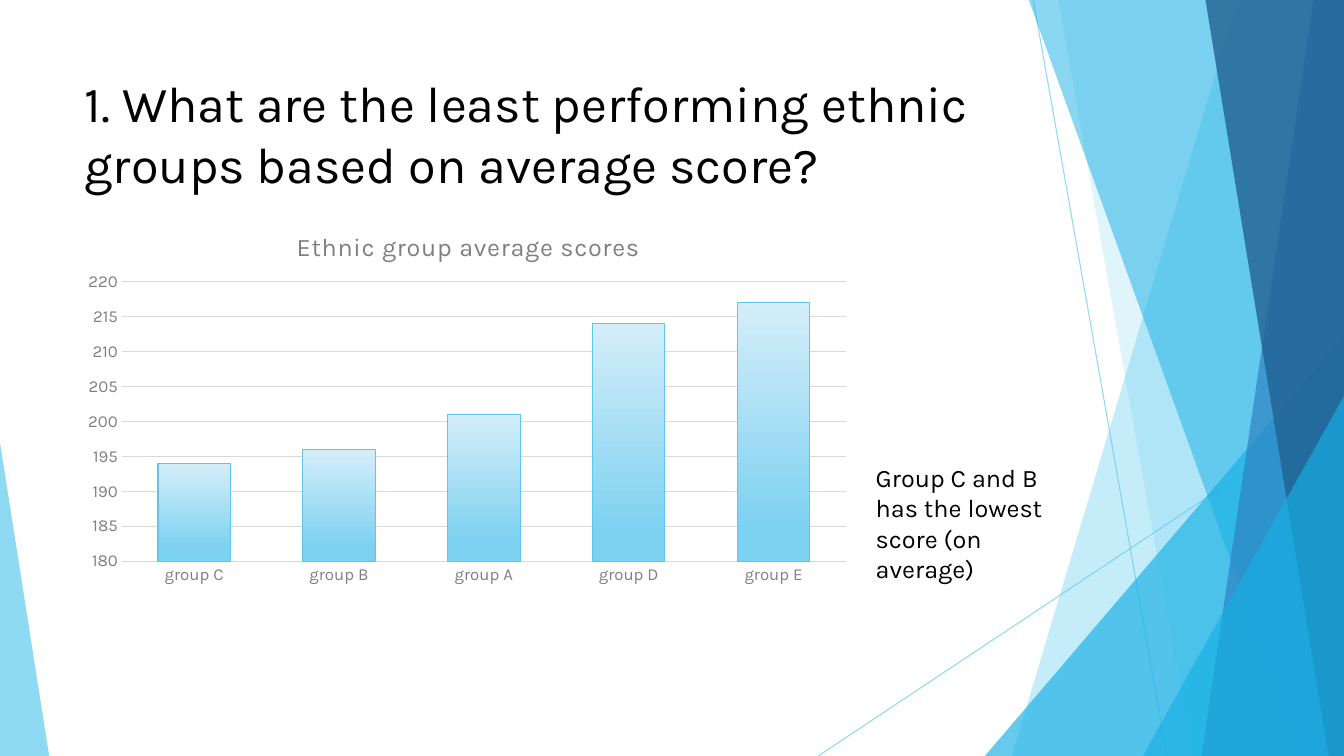
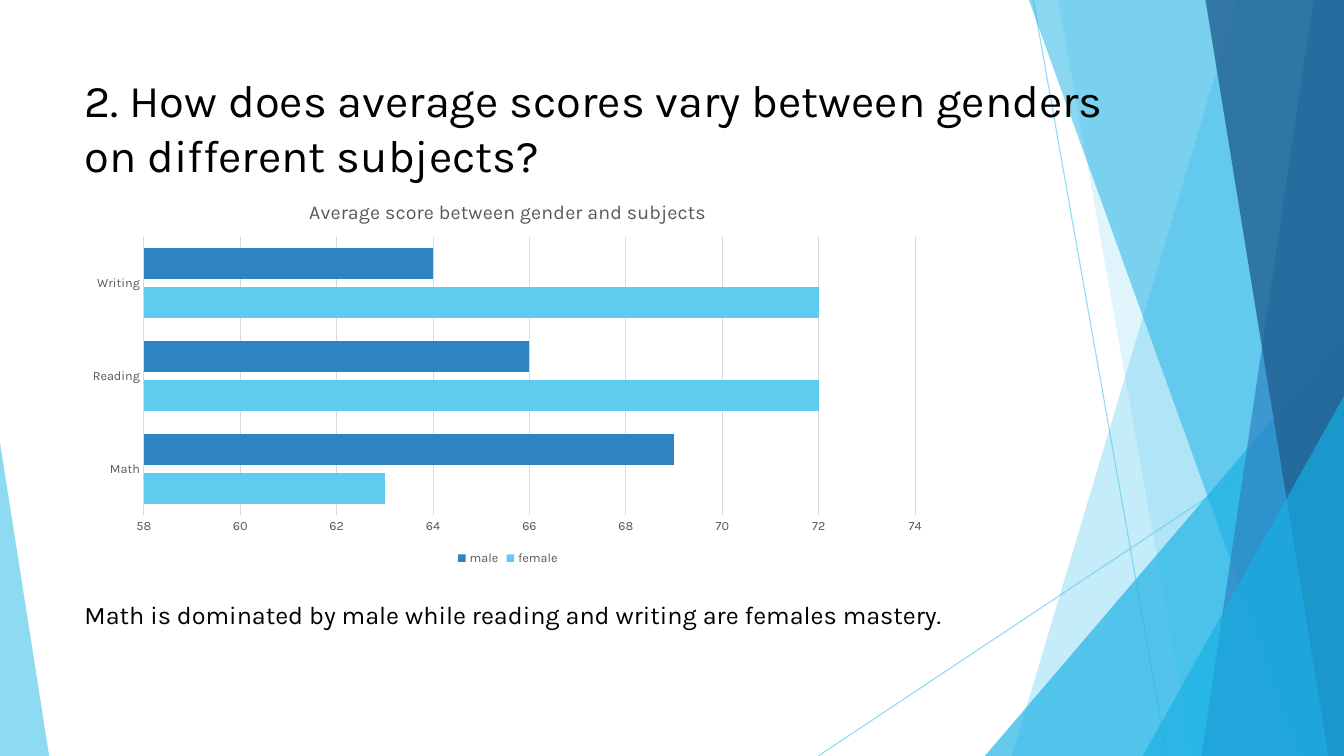
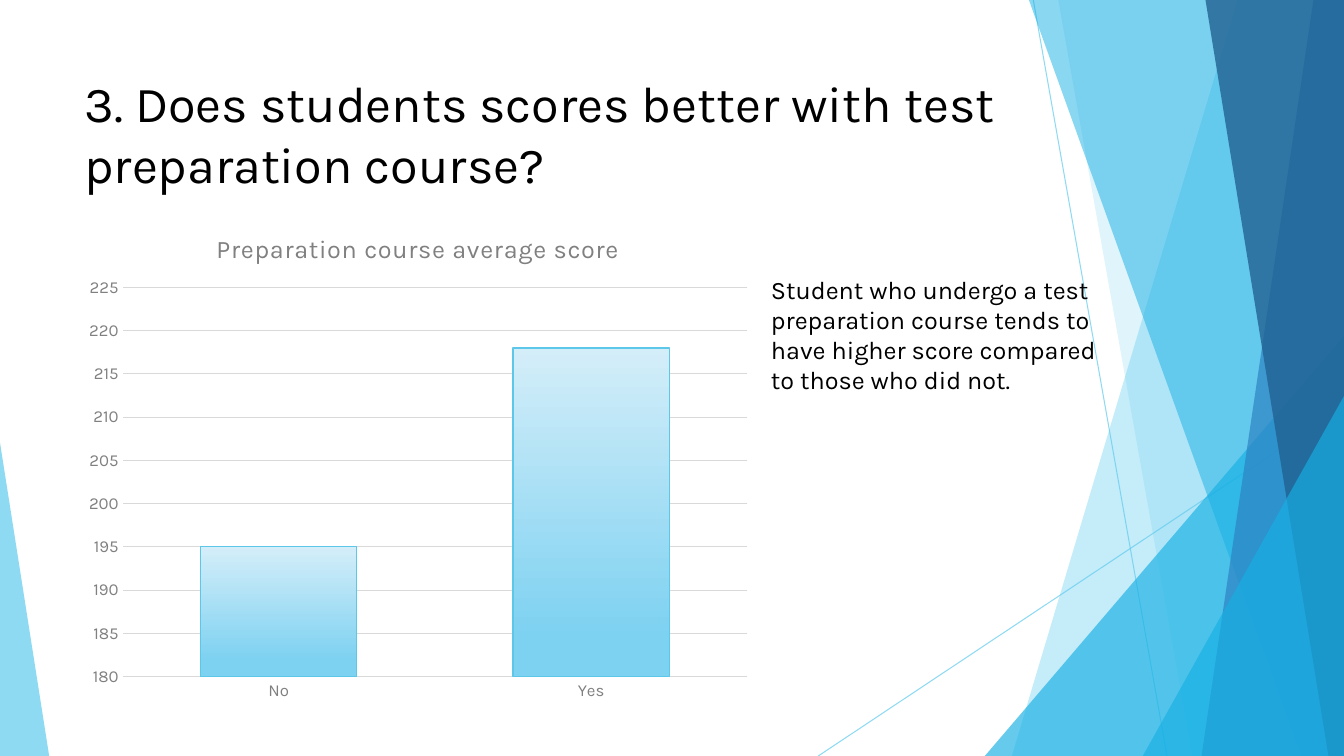
from dataclasses import dataclass

from pptx import Presentation
from pptx.chart.chart import Chart
from pptx.chart.data import CategoryChartData
from pptx.dml.color import RGBColor
from pptx.enum.chart import XL_CHART_TYPE, XL_LEGEND_POSITION, XL_TICK_MARK
from pptx.enum.shapes import MSO_CONNECTOR, MSO_SHAPE
from pptx.oxml import parse_xml
from pptx.oxml.ns import nsdecls, qn
from pptx.slide import Slide, SlideLayout
from pptx.util import Cm, Pt

COLUMN = XL_CHART_TYPE.COLUMN_CLUSTERED
BAR = XL_CHART_TYPE.BAR_CLUSTERED
BOTTOM = XL_LEGEND_POSITION.BOTTOM
NO_TICK = XL_TICK_MARK.NONE
STRAIGHT = MSO_CONNECTOR.STRAIGHT
TRIANGLE = MSO_SHAPE.ISOSCELES_TRIANGLE

WIDE, HIGH = 33.87, 19.05
LEFT = 1.88
Box = tuple[float, float, float, float]


@dataclass(frozen=True)
class Theme:
    font: str = "Karla"
    ink: str = "000000"
    sky: str = "5FCBEF"
    cyan: str = "17B0E4"
    blue: str = "2E83C3"
    navy: str = "226292"
    pale: str = "D4EEF9"
    soft: str = "7DD1F1"
    edge: str = "5DC7EA"
    grid: str = "D9D9D9"
    gray: str = "808080"
    dark: str = "595959"
    head: float = 36
    tight: float = 32.4
    body: float = 18
    thin: float = 0.75


THEME = Theme()


@dataclass(frozen=True)
class Band:
    """Area from a slanted left edge to the right side of the slide."""
    top: float
    foot: float
    color: str
    alpha: int


@dataclass(frozen=True)
class Wedge:
    """Right triangle standing on the bottom of the slide."""
    left: float
    top: float
    width: float
    peak: float
    color: str
    alpha: int


@dataclass(frozen=True)
class Ray:
    start: tuple[float, float]
    end: tuple[float, float]


@dataclass(frozen=True)
class Plot:
    kind: XL_CHART_TYPE
    box: Box
    frame: Box  # plot area as shares of the chart
    title: str
    names: list[str]
    data: dict[str, list[int]]
    scale: tuple[int, int, int]
    gap: int = 100
    lap: int = -24
    fills: tuple[str, ...] = ()  # no fills means a gradient
    color: str = THEME.gray
    size: float = 12
    head: float = 18
    space: int = 50
    legend: bool = False


@dataclass(frozen=True)
class Page:
    title: str
    area: Box
    plot: Plot
    note: str
    place: Box
    size: float = THEME.head


DECOR = [
    Ray((26.04, 0), (29.41, HIGH)),
    Ray((WIDE, 10.24), (20.62, HIGH)),
    Band(31.19, 25.5, THEME.sky, 36),
    Band(26.67, 30.05, THEME.sky, 20),
    Wedge(24.82, 8.46, 9.05, 1, THEME.cyan, 66),
    Band(25.93, 32.79, THEME.cyan, 50),
    Band(33.1, 30.28, THEME.blue, 70),
    Band(30.38, 33.48, THEME.navy, 80),
    Wedge(28.8, 9.98, 5.07, 1, THEME.cyan, 66),
    Wedge(0, 11.15, 1.24, 0, THEME.sky, 70),
]

PAGES = [
    Page(
        "1. What are the least performing ethnic groups based on average score?",
        (LEFT, 1.7, 23.88, 3.66),
        Plot(COLUMN, (LEFT, 5.36, 19.84, 9.65), (0.06, 0.18, 0.92, 0.73),
             "Ethnic group average scores",
             ["group C", "group B", "group A", "group D", "group E"],
             {"Series 1": [194, 196, 201, 214, 217]}, (180, 220, 5)),
        "Group C and B has the lowest score (on average)",
        (21.82, 11.53, 5.79, 2.57),
    ),
    Page(
        "2. How does average scores vary between genders on different subjects?",
        (LEFT, 1.7, 26.29, 2.9),
        Plot(BAR, (LEFT, 4.6, 21.84, 9.75), (0.08, 0.14, 0.89, 0.72),
             "Average score between gender and subjects",
             ["Math", "Reading", "Writing"],
             {"female": [63, 72, 72], "male": [69, 66, 64]}, (58, 74, 2),
             gap=75, lap=-25, fills=(THEME.sky, THEME.blue),
             color=THEME.dark, size=9, head=14, space=0, legend=True),
        "Math is dominated by male while reading and writing are females mastery.",
        (LEFT, 14.99, 22.96, 1.02),
        size=THEME.tight,
    ),
    Page(
        "3. Does students scores better with test preparation course?",
        (LEFT, 1.7, 23.88, 3.66),
        Plot(COLUMN, (LEFT, 5.36, 17.3, 12.57), (0.07, 0.15, 0.91, 0.78),
             "Preparation course average score", ["No", "Yes"],
             {"Series 1": [195, 218]}, (180, 225, 5)),
        "Student who undergo a test preparation course tends to have higher "
        "score compared to those who did not.",
        (19.18, 6.78, 9.3, 3.33),
    ),
]


def rgb(code: str) -> RGBColor:
    return RGBColor.from_string(code)


def style(font, size: float, color: str) -> None:
    font.name = THEME.font
    font.size = Pt(size)
    font.bold = False
    font.color.rgb = rgb(color)


def stroke(line, color: str) -> None:
    line.color.rgb = rgb(color)
    line.width = Pt(THEME.thin)


def fade(shape, alpha: int) -> None:
    """Set the opacity, in percent, of the shape's own colour."""
    tone = shape.element.spPr.find(".//" + qn("a:srgbClr"))
    tone.append(parse_xml(f'<a:alpha {nsdecls("a")} val="{alpha * 1000}"/>'))


def paint(shape, color: str, alpha: int) -> None:
    shape.shadow.inherit = False
    shape.fill.solid()
    shape.fill.fore_color.rgb = rgb(color)
    shape.line.fill.background()
    fade(shape, alpha)


def add_ray(slide: Slide, ray: Ray):
    line = slide.shapes.add_connector(STRAIGHT, *map(Cm, ray.start + ray.end))
    stroke(line.line, THEME.sky)
    fade(line, 70)
    line.element.spPr.append(parse_xml(f'<a:effectLst {nsdecls("a")}/>'))
    return line


def add_band(slide: Slide, band: Band):
    pen = slide.shapes.build_freeform(Cm(band.top), 0)
    pen.add_line_segments([(Cm(WIDE), 0), (Cm(WIDE), Cm(HIGH)),
                           (Cm(band.foot), Cm(HIGH))])
    shape = pen.convert_to_shape()
    paint(shape, band.color, band.alpha)
    return shape


def add_wedge(slide: Slide, wedge: Wedge):
    shape = slide.shapes.add_shape(
        TRIANGLE, Cm(wedge.left), Cm(wedge.top),
        Cm(wedge.width), Cm(HIGH - wedge.top))
    shape.adjustments[0] = wedge.peak
    paint(shape, wedge.color, wedge.alpha)
    return shape


DRAW = {Ray: add_ray, Band: add_band, Wedge: add_wedge}


def dress(layout: SlideLayout, slide: Slide) -> None:
    """Draw the decor on a slide and move it to the shared layout."""
    tree = layout.shapes.element
    for holder in list(layout.placeholders):
        tree.remove(holder.element)
    for part in DECOR:
        tree.append(DRAW[type(part)](slide, part).element)


def add_text(slide: Slide, words: str, *, box: Box, size: float = THEME.body,
             color: str = THEME.ink) -> None:
    frame = slide.shapes.add_textbox(*map(Cm, box)).text_frame
    frame.word_wrap = True
    run = frame.paragraphs[0].add_run()
    run.text = words
    style(run.font, size, color)


def set_frame(chart: Chart, frame: Box) -> None:
    """Fix the inner plot area within the chart."""
    area = chart.element.find(".//" + qn("c:plotArea"))
    for old in area.findall(qn("c:layout")):
        area.remove(old)
    sides = "".join(f'<c:{key} val="{val}"/>' for key, val in zip("xywh", frame))
    area.insert(0, parse_xml(
        f'<c:layout {nsdecls("c")}><c:manualLayout>'
        '<c:layoutTarget val="inner"/><c:xMode val="edge"/><c:yMode val="edge"/>'
        f'{sides}</c:manualLayout></c:layout>'))


def set_title(chart: Chart, plot: Plot) -> None:
    chart.has_title = True
    title = chart.chart_title
    title.include_in_layout = False
    run = title.text_frame.paragraphs[0].add_run()
    run.text = plot.title
    style(run.font, plot.head, plot.color)
    chart.element.find(f".//{qn('c:title')}//{qn('a:rPr')}").set(
        "spc", str(plot.space))


def set_axes(chart: Chart, plot: Plot) -> None:
    for axis in (chart.category_axis, chart.value_axis):
        axis.major_tick_mark = axis.minor_tick_mark = NO_TICK
        style(axis.tick_labels.font, plot.size, plot.color)
    chart.category_axis.has_major_gridlines = False
    stroke(chart.category_axis.format.line, THEME.grid)
    value = chart.value_axis
    value.minimum_scale, value.maximum_scale, value.major_unit = plot.scale
    value.has_major_gridlines = True
    stroke(value.major_gridlines.format.line, THEME.grid)
    value.format.line.fill.background()
    value.tick_labels.number_format = "0"
    value.tick_labels.number_format_is_linked = False


def set_bars(chart: Chart, plot: Plot) -> None:
    bars = chart.plots[0]
    bars.gap_width, bars.overlap = plot.gap, plot.lap
    bars.vary_by_categories = False
    for i, row in enumerate(bars.series):
        row.invert_if_negative = False
        fill = row.format.fill
        if plot.fills:
            fill.solid()
            fill.fore_color.rgb = rgb(plot.fills[i])
            continue
        fill.gradient()
        fill.gradient_angle = 270
        tones = ((0, THEME.pale), (0.88, THEME.soft))
        for stop, (spot, color) in zip(fill.gradient_stops, tones):
            stop.position = spot
            stop.color.rgb = rgb(color)
        stroke(row.format.line, THEME.edge)


def add_plot(slide: Slide, plot: Plot) -> None:
    data = CategoryChartData(number_format="0")
    data.categories = plot.names
    for name, vals in plot.data.items():
        data.add_series(name, vals)
    chart = slide.shapes.add_chart(plot.kind, *map(Cm, plot.box), data).chart
    style(chart.font, 10, THEME.ink)
    set_title(chart, plot)
    set_axes(chart, plot)
    set_bars(chart, plot)
    set_frame(chart, plot.frame)
    chart.has_legend = plot.legend
    if plot.legend:
        chart.legend.position = BOTTOM
        chart.legend.include_in_layout = False
        style(chart.legend.font, plot.size, plot.color)


def main() -> None:
    deck = Presentation()
    deck.slide_width, deck.slide_height = Cm(WIDE), Cm(HIGH)
    blank = deck.slide_layouts[6]
    slides = [deck.slides.add_slide(blank) for _ in PAGES]
    for slide in slides:
        for holder in list(slide.placeholders):
            slide.shapes.element.remove(holder.element)
    dress(blank, slides[0])
    for slide, page in zip(slides, PAGES):
        add_text(slide, page.title, box=page.area, size=page.size)
        add_plot(slide, page.plot)
        add_text(slide, page.note, box=page.place)
    deck.save("out.pptx")


if __name__ == "__main__":
    main()
